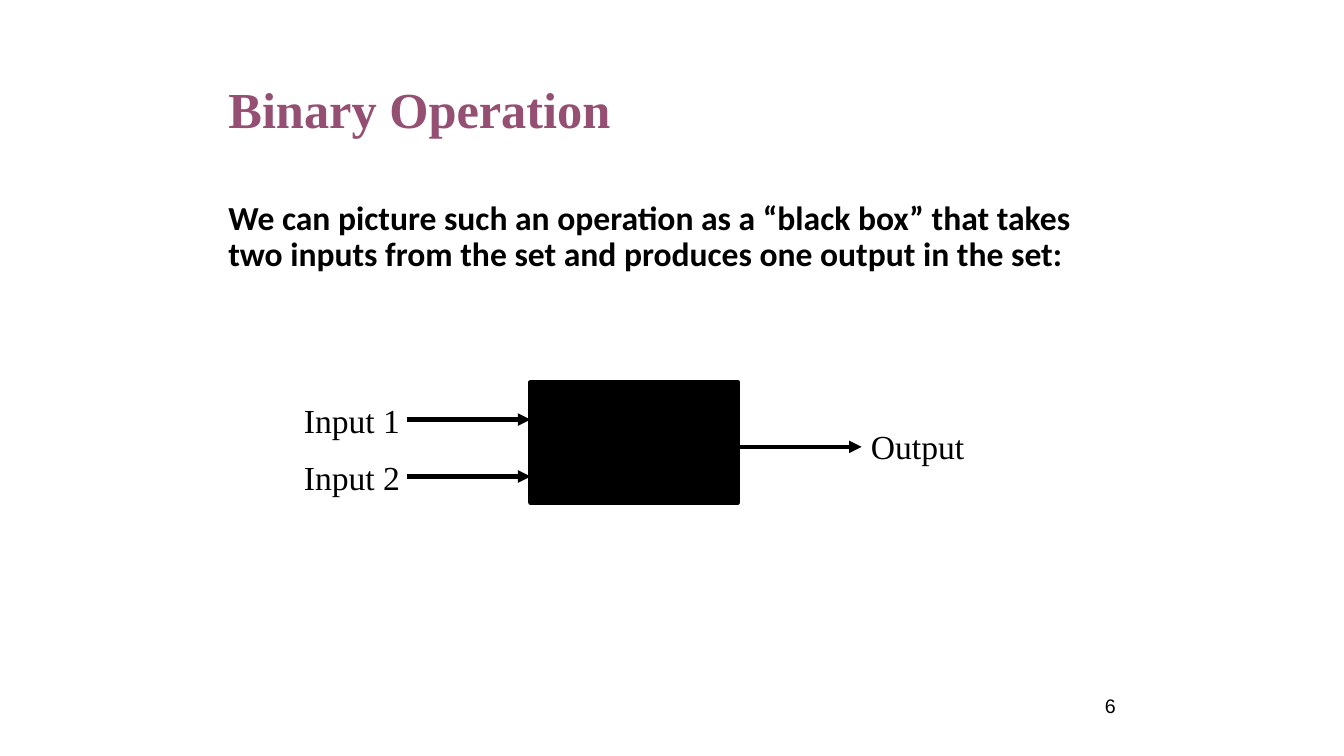
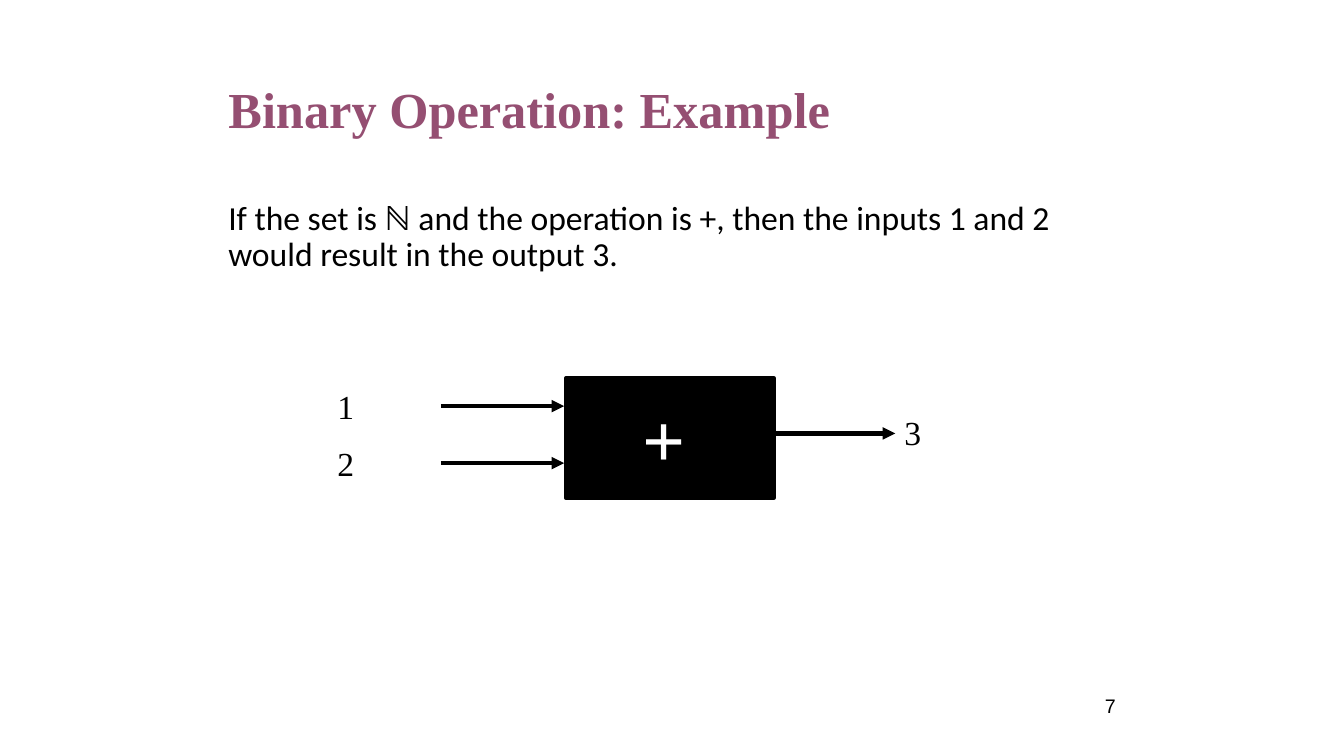
import pptx
import pptx.util
import pptx.dml.color
import pptx.enum.shapes
import pptx.enum.text
import pptx.oxml.ns
import lxml.etree

Pt = pptx.util.Pt
ALIGN = pptx.enum.text.PP_ALIGN
ANCHOR = pptx.enum.text.MSO_ANCHOR
BLACK, WHITE, PLUM = "000000", "FFFFFF", "954F72"
SERIF, SANS, PLAIN = "Times New Roman", "Calibri", "Arial"

# Boxes shared by every slide: left, top, width, height in points
TITLE = (156, 35, 648, 90)
BODY = (156, 140, 648, 356)
NUMBER = (636, 492, 168, 37)

# Diagram measures, in points
LABEL = (105, 36)
BLOCK = (148, 86)
ARROW = 88
ROWS = (0, 40.7)


def color(text):
    return pptx.dml.color.RGBColor.from_string(text)


def place(shape, box):
    shape.left, shape.top, shape.width, shape.height = map(Pt, box)


def write(shape, text, size, font=SERIF, tint=BLACK, bold=False,
          align=ALIGN.LEFT, anchor=ANCHOR.TOP, space=1.0):
    frame = shape.text_frame
    frame.word_wrap = True
    frame.auto_size = pptx.enum.text.MSO_AUTO_SIZE.NONE
    frame.vertical_anchor = anchor
    para = frame.paragraphs[0]
    para.alignment = align
    para.line_spacing = space
    run = para.add_run()
    run.text = text
    run.font.name = font
    run.font.size = Pt(size)
    run.font.bold = bold
    run.font.color.rgb = color(tint)


def label(slide, box, text, size=24, **style):
    write(slide.shapes.add_textbox(*map(Pt, box)), text, size, **style)


def arrow(slide, left, y):
    kind = pptx.enum.shapes.MSO_CONNECTOR.STRAIGHT
    line = slide.shapes.add_connector(kind, Pt(left), Pt(y), Pt(left + ARROW), Pt(y))
    line.line.color.rgb = color(BLACK)
    line.line.width = Pt(3)
    qn = pptx.oxml.ns.qn
    lxml.etree.SubElement(line.line._get_or_add_ln(), qn("a:tailEnd"), type="triangle")
    lxml.etree.SubElement(line._element.spPr, qn("a:effectLst"))


def block(slide, left, top, sign):
    kind = pptx.enum.shapes.MSO_SHAPE.RECTANGLE
    rect = slide.shapes.add_shape(kind, *map(Pt, (left, top, *BLOCK)))
    rect.shadow.inherit = False
    rect.fill.solid()
    rect.fill.fore_color.rgb = color(BLACK)
    rect.line.color.rgb = color(BLACK)
    rect.line.width = Pt(3)
    if sign:
        label(slide, (left + 47.5, top + 6.5, 113, 72), sign, 54, tint=WHITE, bold=True)


def diagram(slide, left, top, inputs, output, shift, sign=None):
    """Two inputs, the black box and one output; shift moves the box."""
    block(slide, left + 169 + shift[0], top - 9 + shift[1], sign)
    for text, row in zip(inputs, ROWS):
        label(slide, (left, top + row, *LABEL), text)
        arrow(slide, left + 81, top + row + 17.7)
    label(slide, (left + 405, top + 18.5, *LABEL), output)
    arrow(slide, left + 317.5, top + 37.2)


def page(deck, number, title, body, bold=False):
    slide = deck.slides.add_slide(deck.slide_layouts[5])
    head = slide.shapes.title
    place(head, TITLE)
    write(head, title, 36, tint=PLUM, bold=True, anchor=ANCHOR.MIDDLE, space=0.9)
    label(slide, BODY, body, font=SANS, bold=bold, space=0.9)
    label(slide, NUMBER, str(number), 14, font=PLAIN, align=ALIGN.RIGHT)
    return slide


def main():
    deck = pptx.Presentation()
    deck.slide_width, deck.slide_height = Pt(960), Pt(540)

    # The black box
    slide = page(deck, 6, "Binary Operation",
                 "We can picture such an operation as a “black box” that takes "
                 "two inputs from the set and produces one output in the set:", bold=True)
    diagram(slide, 210, 282, ("Input 1", "Input 2"), "Output", (0, 0))

    # Adding 1 and 2
    slide = page(deck, 7, "Binary Operation: Example",
                 "If the set is ℕ and the operation is +, then the inputs 1 and 2 "
                 "would result in the output 3.")
    diagram(slide, 234, 272.4, ("1", "2"), "3", (1.5, 6.6), "+")

    deck.save("out.pptx")


if __name__ == "__main__":
    main()
